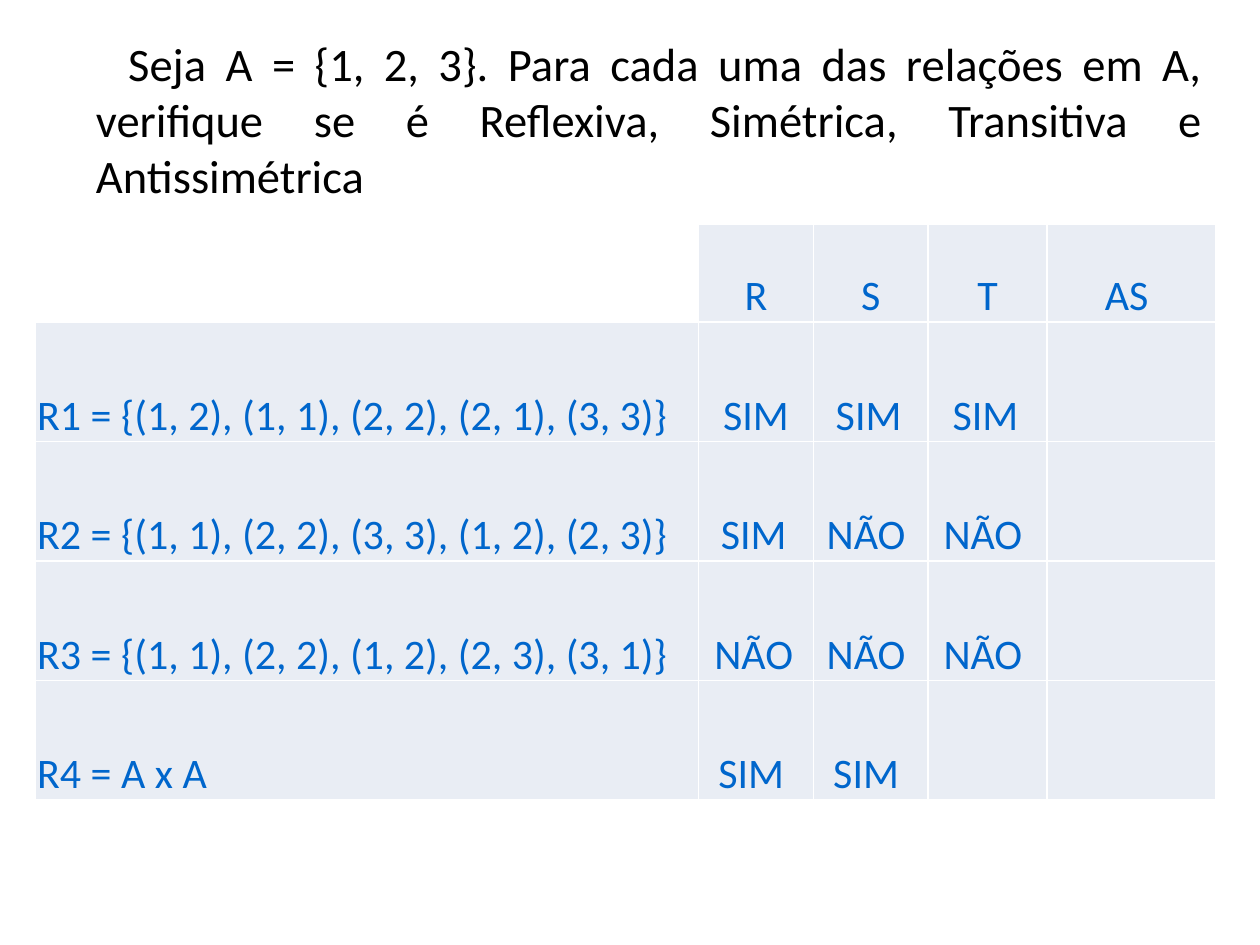
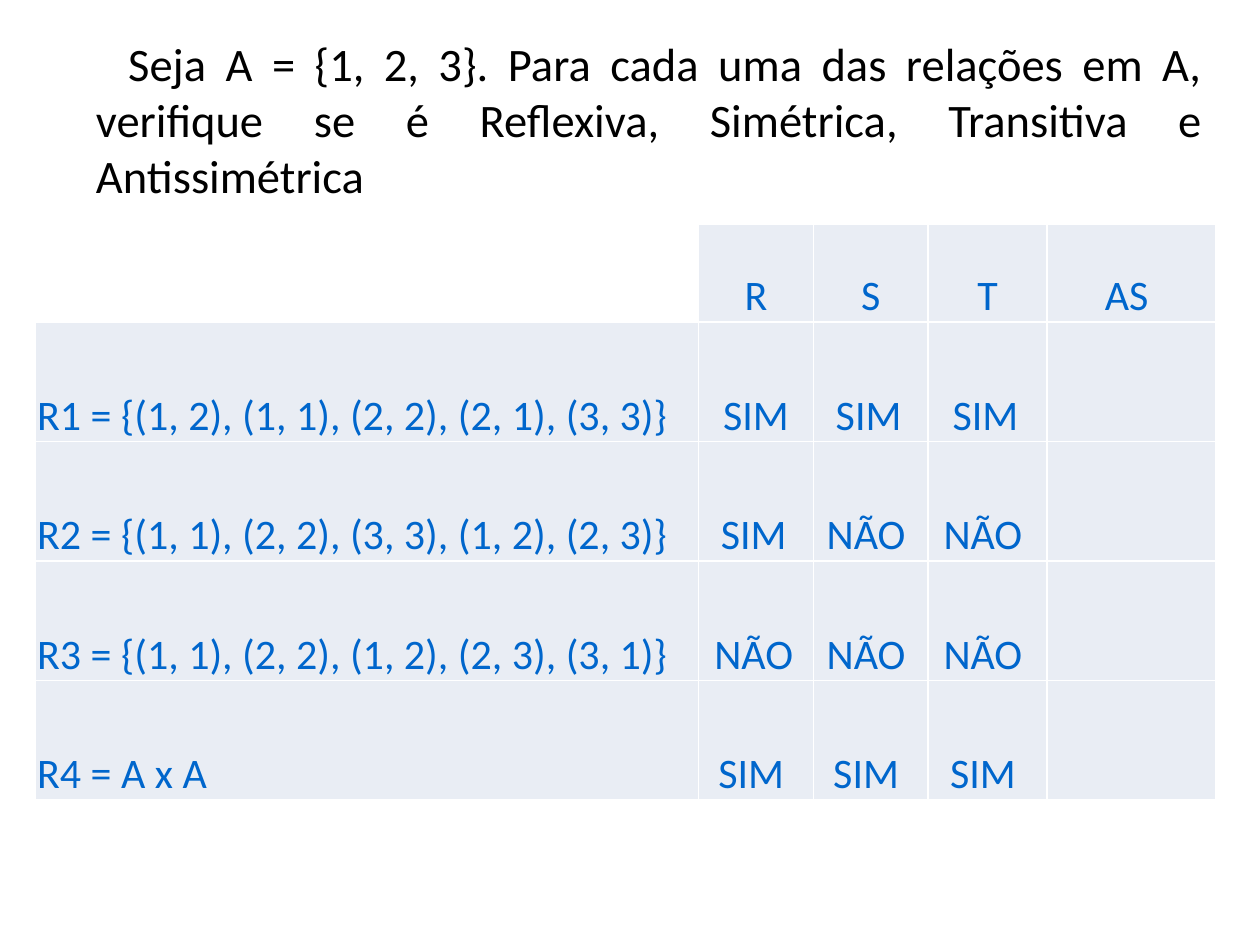
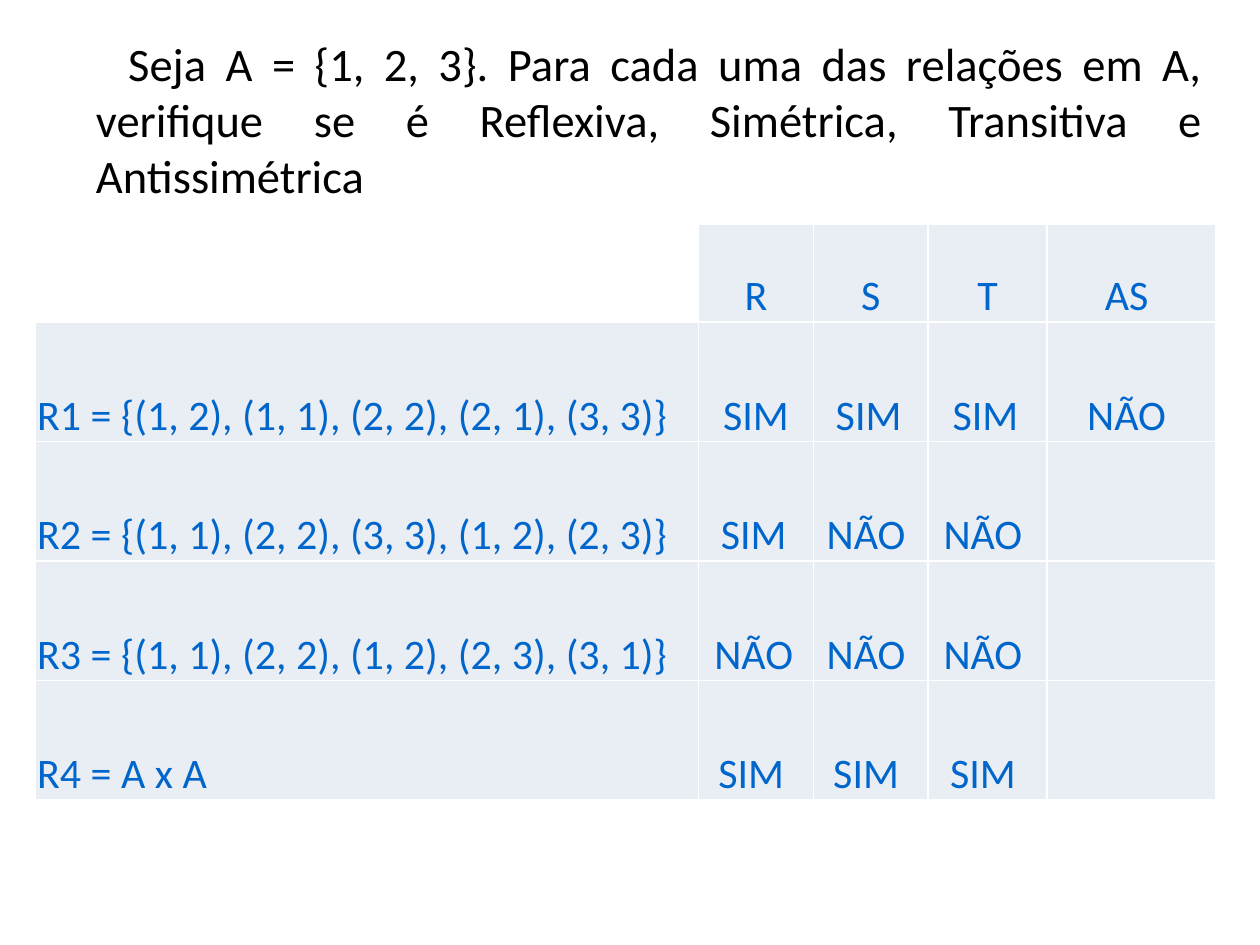
from collections import namedtuple

from lxml import etree
from pptx import Presentation
from pptx import util as u
from pptx.dml.color import RGBColor
from pptx.enum import text
from pptx.oxml import ns

Box = namedtuple("Box", "left top width height")

COLOURS = {"ink": "000000", "answer": "0066CC", "cell": "E9EDF4", "paper": "FFFFFF"}
FONT = "Calibri"
STATEMENT_BOX = Box(u.Cm(0.71), u.Cm(0.58), u.Cm(23.8), u.Cm(4.32))
TABLE_BOX = Box(u.Cm(0.72), u.Cm(4.52), u.Cm(23.78), u.Cm(11.61))
COLUMN_WIDTHS = [13.36, 2.32, 2.31, 2.4, 3.39]
HEADER_HEIGHT = u.Cm(1.97)

STATEMENT = (
    "Seja A = {1, 2, 3}. Para cada uma das relações em A, "
    "verifique se é Reflexiva, Simétrica, Transitiva e Antissimétrica"
)
GRID = [
    ["", "R", "S", "T", "AS"],
    ["R1 = {(1, 2), (1, 1), (2, 2), (2, 1), (3, 3)}", "SIM", "SIM", "SIM", "NÃO"],
    ["R2 = {(1, 1), (2, 2), (3, 3), (1, 2), (2, 3)}", "SIM", "NÃO", "NÃO", ""],
    ["R3 = {(1, 1), (2, 2), (1, 2), (2, 3), (3, 1)}", "NÃO", "NÃO", "NÃO", ""],
    ["R4 = A x A", "SIM", "SIM", "SIM", ""],
]
RIGHT_GAPS = [
    [0, 0, 0, 0, 0.19],
    [0, 0, 0.09, 0.09, 0.19],
    [0, 0.09, 0.19, 0.19, 0],
    [0, 0.09, 0.19, 0.19, 0],
    [0, 0.19, 0.19, 0.19, 0],
]
HIDDEN_ANSWERS = [{(4, 3), (1, 4)}, {(1, 4)}, set()]


def apply(target, **values):
    """Set each named attribute of the target."""
    for name, value in values.items():
        setattr(target, name, value)


def colour(name):
    """Return the named colour."""
    return RGBColor.from_string(COLOURS[name])


def write(para, words, size, ink):
    """Add one formatted span to the paragraph."""
    span = para.add_run()
    span.text = words
    apply(span.font, name=FONT, size=u.Pt(size))
    span.font.color.rgb = colour(ink)


def add_statement(page, box):
    """Place the exercise statement in the title placeholder."""
    title = page.shapes.title
    apply(title, **box._asdict())
    frame = title.text_frame
    apply(
        frame,
        word_wrap=True,
        auto_size=text.MSO_AUTO_SIZE.NONE,
        vertical_anchor=text.MSO_ANCHOR.TOP,
    )
    para = frame.paragraphs[0]
    apply(para, alignment=text.PP_ALIGN.JUSTIFY, space_before=u.Pt(2))
    properties = para._p.get_or_add_pPr()
    properties.set("marL", str(u.Cm(0.97)))
    properties.set("indent", str(u.Cm(0.65)))
    write(para, STATEMENT, 26.6, "ink")


def add_borders(cell):
    """Draw a thin line on the four sides of the cell."""
    properties = cell._tc.get_or_add_tcPr()
    for side in ("a:lnL", "a:lnR", "a:lnT", "a:lnB"):
        line = etree.SubElement(properties, ns.qn(side), w=str(u.Pt(1)))
        fill = etree.SubElement(line, ns.qn("a:solidFill"))
        etree.SubElement(fill, ns.qn("a:srgbClr"), val=COLOURS["paper"])


def fill_cell(cell, words, right_gap, is_corner, is_label):
    """Format one cell and write its text."""
    apply(
        cell,
        vertical_anchor=text.MSO_ANCHOR.BOTTOM,
        margin_left=u.Cm(0.03),
        margin_right=u.Cm(0.03 + right_gap),
        margin_top=u.Cm(0.03),
        margin_bottom=0,
    )
    add_borders(cell)
    cell.fill.solid()
    cell.fill.fore_color.rgb = colour("paper" if is_corner else "cell")
    if words:
        para = cell.text_frame.paragraphs[0]
        para.alignment = text.PP_ALIGN.LEFT if is_label else text.PP_ALIGN.CENTER
        write(para, words, 24, "answer")


def add_relations_table(page, box, hidden):
    """Build the table of relations, leaving the hidden answers blank."""
    table = page.shapes.add_table(len(GRID), len(GRID[0]), *box).table
    apply(table, first_row=False, horz_banding=False)
    for column, width in zip(table.columns, COLUMN_WIDTHS):
        column.width = u.Cm(width)
    body_height = (box.height - HEADER_HEIGHT) // (len(GRID) - 1)
    for i, row in enumerate(GRID):
        table.rows[i].height = body_height if i else HEADER_HEIGHT
        for j, words in enumerate(row):
            shown = "" if (i, j) in hidden else words
            fill_cell(table.cell(i, j), shown, RIGHT_GAPS[i][j], i == j == 0, j == 0)


def add_exercise_page(deck, hidden):
    """Add one step of the exercise."""
    page = deck.slides.add_slide(deck.slide_layouts[5])
    add_statement(page, STATEMENT_BOX)
    add_relations_table(page, TABLE_BOX, hidden)


def main():
    """Build and save the deck."""
    deck = Presentation()
    apply(deck, slide_width=u.Cm(25.4), slide_height=u.Cm(19.05))
    for hidden in HIDDEN_ANSWERS:
        add_exercise_page(deck, hidden)
    deck.save("out.pptx")


if __name__ == "__main__":
    main()
